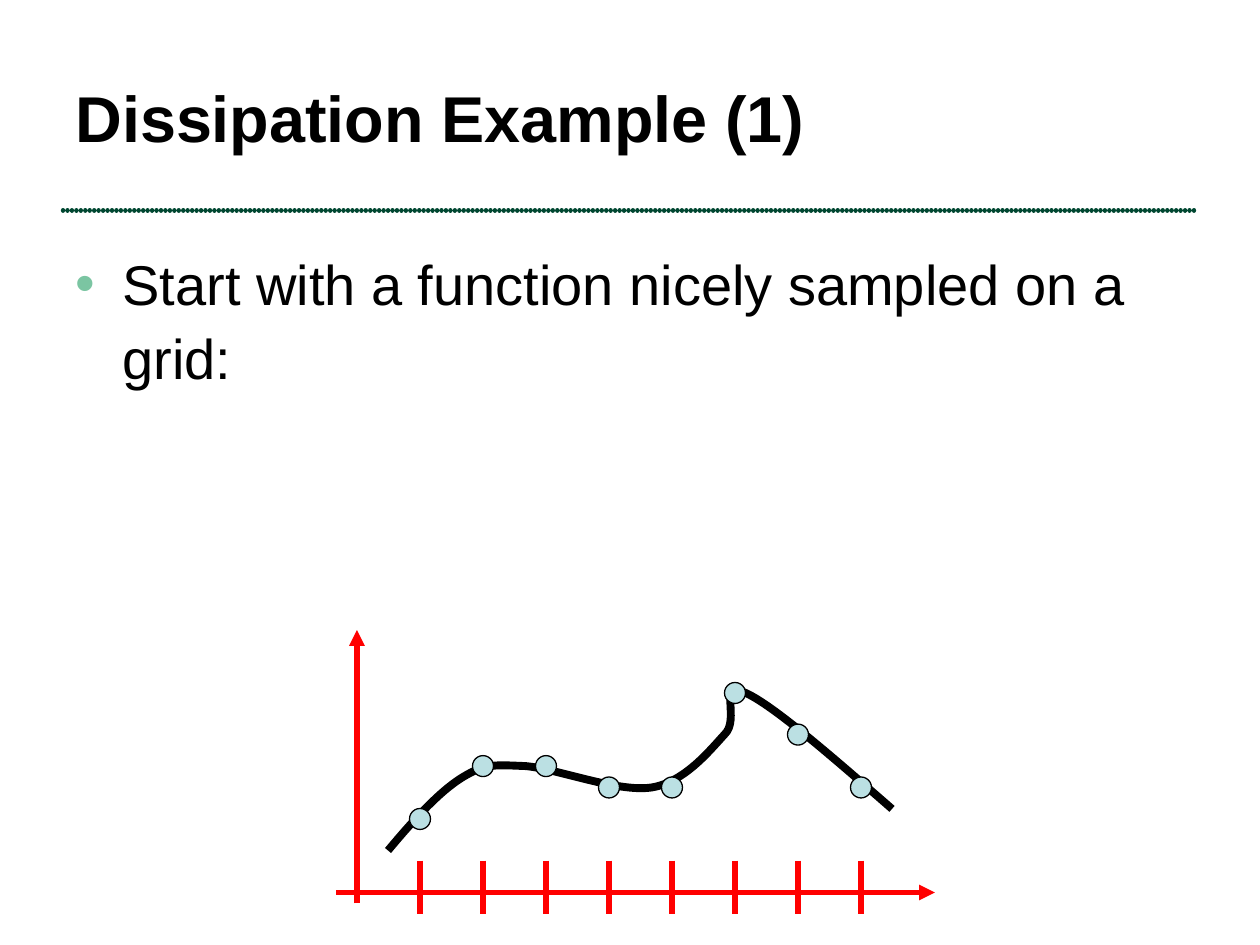
from dataclasses import dataclass

from lxml import etree
from pptx import Presentation
from pptx.dml.color import RGBColor
from pptx.enum.shapes import MSO_CONNECTOR, MSO_SHAPE
from pptx.enum.text import MSO_ANCHOR
from pptx.oxml.ns import qn
from pptx.util import Inches, Pt

STRAIGHT = MSO_CONNECTOR.STRAIGHT
OVAL = MSO_SHAPE.OVAL
TOP, MIDDLE = MSO_ANCHOR.TOP, MSO_ANCHOR.MIDDLE

COLORS = {
    "text": "000000",
    "divider": "004731",
    "bullet": "7BC5A2",
    "axis": "FF0000",
    "curve": "000000",
    "sample": "BBE0E3",
}
TITLE_FONT = {"name": "Arial", "size": Pt(37), "bold": True}
BODY_FONT = {"name": "Arial", "size": Pt(32), "bold": False}
BODY_SPACING = {"line_spacing": 1.1, "space_before": Pt(6), "space_after": Pt(6)}
BODY_INDENT = Inches(3 / 8)

GRID_STEP = 0.5
AXIS_X, AXIS_Y = 17 / 6, 85 / 12
TICK_TOP, TICK_BOTTOM = 6.83, 7.25
SAMPLE_SIZE = 1 / 6
SAMPLE_HEIGHTS = (6.5, 6.08, 6.08, 6.25, 6.25, 5.5, 5.83, 6.25)
CURVE_START = (3.08, 6.75)
CURVE_BENDS = (
    ((3.28, 6.51), (3.49, 6.28), (3.67, 6.17)),
    ((3.85, 6.06), (3.92, 6.07), (4.17, 6.08)),
    ((4.42, 6.1), (4.9, 6.29), (5.17, 6.25)),
    ((5.43, 6.21), (5.63, 5.96), (5.75, 5.83)),
    ((5.88, 5.71), (5.69, 5.4), (5.92, 5.5)),
    ((6.14, 5.6), (6.61, 6.01), (7.08, 6.42)),
)


@dataclass
class Rule:
    start: tuple[float, float]
    end: tuple[float, float]
    color: str = "axis"
    width: float = 3
    arrow: bool = False
    dotted: bool = False


@dataclass
class Passage:
    text: str
    box: tuple[float, float, float, float]
    font: dict
    anchor: MSO_ANCHOR


def rgb(name: str) -> RGBColor:
    return RGBColor.from_string(COLORS[name])


def apply(target, values: dict) -> None:
    for name, value in values.items():
        setattr(target, name, value)


def draw_rule(slide, rule: Rule) -> None:
    ends = [Inches(value) for value in rule.start + rule.end]
    connector = slide.shapes.add_connector(STRAIGHT, *ends)
    connector.line.color.rgb = rgb(rule.color)
    connector.line.width = Pt(rule.width)
    outline = connector.line._get_or_add_ln()
    if rule.dotted:
        outline.set("cap", "rnd")
        dashes = etree.SubElement(outline, qn("a:custDash"))
        etree.SubElement(dashes, qn("a:ds"), d="100000", sp="2000")
    if rule.arrow:
        etree.SubElement(outline, qn("a:tailEnd"), type="triangle")
    etree.SubElement(connector._element.spPr, qn("a:effectLst"))


def draw_passage(slide, passage: Passage):
    frame = slide.shapes.add_textbox(*map(Inches, passage.box)).text_frame
    apply(frame, {"word_wrap": True, "vertical_anchor": passage.anchor})
    paragraph = frame.paragraphs[0]
    run = paragraph.add_run()
    run.text = passage.text
    apply(run.font, passage.font)
    run.font.color.rgb = rgb("text")
    return paragraph


def add_bullet(paragraph) -> None:
    apply(paragraph, BODY_SPACING)
    properties = paragraph._p.get_or_add_pPr()
    properties.set("marL", str(BODY_INDENT))
    properties.set("indent", str(-BODY_INDENT))
    bullet_color = etree.SubElement(properties, qn("a:buClr"))
    etree.SubElement(bullet_color, qn("a:srgbClr"), val=COLORS["bullet"])
    etree.SubElement(properties, qn("a:buFont"), typeface="Arial")
    etree.SubElement(properties, qn("a:buChar"), char="•")


def bend_segments(outline) -> None:
    segments = list(outline.iter(qn("a:lnTo")))
    for first in range(0, len(segments), 3):
        bend = etree.Element(qn("a:cubicBezTo"))
        segments[first].addprevious(bend)
        for segment in segments[first:first + 3]:
            bend.append(segment[0])
            segment.getparent().remove(segment)


def draw_curve(slide) -> None:
    builder = slide.shapes.build_freeform(*map(Inches, CURVE_START))
    controls = [(Inches(x), Inches(y)) for bend in CURVE_BENDS for x, y in bend]
    builder.add_line_segments(controls, close=False)
    curve = builder.convert_to_shape()
    bend_segments(curve._element)
    curve.shadow.inherit = False
    curve.fill.background()
    curve.line.color.rgb = rgb("curve")
    curve.line.width = Pt(4.5)


def draw_sample(slide, x: float, y: float) -> None:
    box = (x - SAMPLE_SIZE / 2, y - SAMPLE_SIZE / 2, SAMPLE_SIZE, SAMPLE_SIZE)
    sample = slide.shapes.add_shape(OVAL, *map(Inches, box))
    sample.shadow.inherit = False
    sample.fill.solid()
    sample.fill.fore_color.rgb = rgb("sample")
    sample.line.color.rgb = rgb("curve")
    sample.line.width = Pt(0.75)


def main() -> None:
    presentation = Presentation()
    apply(presentation, {"slide_width": Inches(10), "slide_height": Inches(7.5)})
    slide = presentation.slides.add_slide(presentation.slide_layouts[6])

    draw_rule(slide, Rule((0.5, 1.67), (9.5, 1.67), "divider", 2.5, dotted=True))
    draw_passage(slide, Passage(
        "Dissipation Example (1)", (0.5, 0.3, 7.42, 1.25), TITLE_FONT, MIDDLE))
    add_bullet(draw_passage(slide, Passage(
        "Start with a function nicely sampled on a grid:",
        (0.5, 1.88, 9, 2.93), BODY_FONT, TOP)))

    draw_rule(slide, Rule((2.67, AXIS_Y), (7.42, AXIS_Y), arrow=True))
    draw_rule(slide, Rule((AXIS_X, 7.17), (AXIS_X, 5), arrow=True))
    grid = [AXIS_X + GRID_STEP * (index + 1) for index in range(len(SAMPLE_HEIGHTS))]
    for x in grid:
        draw_rule(slide, Rule((x, TICK_TOP), (x, TICK_BOTTOM)))
    draw_curve(slide)
    for x, y in zip(grid, SAMPLE_HEIGHTS):
        draw_sample(slide, x, y)

    presentation.save("out.pptx")


if __name__ == "__main__":
    main()
